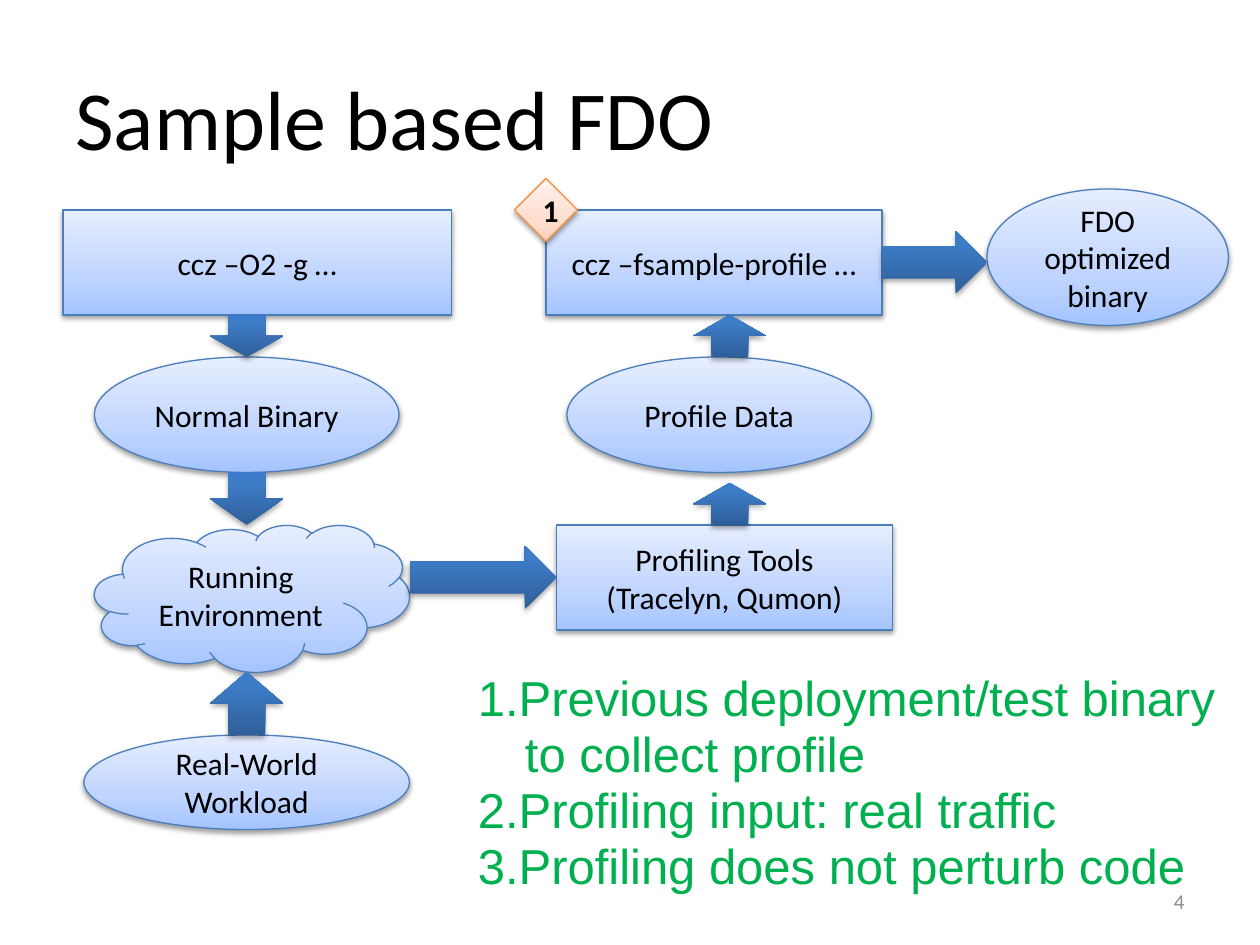
from dataclasses import dataclass

from copy import deepcopy
from lxml import etree
from pptx import Presentation
from pptx import util as u
from pptx.dml.color import RGBColor
from pptx.enum import shapes, text
from pptx.oxml.ns import qn

GRID = 2.54 / 12
KIND = shapes.MSO_SHAPE
ALIGN = text.PP_ALIGN


@dataclass(frozen=True)
class Theme:
    body_font: str = "Calibri"
    list_font: str = "Arial"
    ink: str = "000000"
    green: str = "00B050"
    grey: str = "8C8C8C"
    node_line: str = "4B7EBC"
    badge_line: str = "F69240"
    node_fill: tuple = ((0, "A4C4FF"), (0.35, "BFD4FF"), (1, "E6EEFF"))
    arrow_fill: tuple = ((0, "2F5F99"), (0.8, "3D7CC7"), (1, "3A7CCB"))
    badge_fill: tuple = ((0, "FFD2BD"), (0.35, "FFDED0"), (1, "FFF2ED"))
    title_size: int = 48
    list_size: int = 28
    node_size: int = 18
    number_size: int = 12


THEME = Theme()


def place(box):
    return [u.Cm(cells * GRID) for cells in box]


def write(shape, content, size=THEME.node_size, font=THEME.body_font,
          color=THEME.ink, bold=False, align=ALIGN.CENTER,
          anchor=text.MSO_ANCHOR.MIDDLE):
    frame = shape.text_frame
    frame.word_wrap = True
    frame.vertical_anchor = anchor
    frame.text = content
    for paragraph in frame.paragraphs:
        paragraph.alignment = align
        for run in paragraph.runs:
            run.font.size = u.Pt(size)
            run.font.name = font
            run.font.bold = bold
            run.font.color.rgb = RGBColor.from_string(color)
    return frame


def add_text(slide, box, content, **style):
    return write(slide.shapes.add_textbox(*place(box)), content, **style)


def fill_gradient(shape, stops):
    shape.fill.gradient()
    shape.fill.gradient_angle = 90
    stop_list = shape._element.spPr.find(".//" + qn("a:gsLst"))
    stop_list.append(deepcopy(stop_list[0]))
    for stop, (position, color) in zip(shape.fill.gradient_stops, stops):
        stop.position = position
        stop.color.rgb = RGBColor.from_string(color)


def add_shadow(shape, distance, opacity):
    shape.shadow.inherit = False
    effects = shape._element.spPr.find(qn("a:effectLst"))
    shadow = etree.SubElement(
        effects, qn("a:outerShdw"), blurRad="40000", dist=str(distance),
        dir="5400000", rotWithShape="0")
    color = etree.SubElement(shadow, qn("a:srgbClr"), val=THEME.ink)
    etree.SubElement(color, qn("a:alpha"), val=str(opacity * 1000))


def add_node(slide, kind, box, content, stops=THEME.node_fill,
             line=THEME.node_line, **style):
    shape = slide.shapes.add_shape(kind, *place(box))
    fill_gradient(shape, stops)
    shape.line.color.rgb = RGBColor.from_string(line)
    shape.line.width = u.Pt(0.75)
    add_shadow(shape, 20000, 38)
    write(shape, content, **style)


def add_arrow(slide, kind, box):
    shape = slide.shapes.add_shape(kind, *place(box))
    fill_gradient(shape, THEME.arrow_fill)
    shape.line.fill.background()
    add_shadow(shape, 23000, 35)


def add_list(slide, box, items):
    frame = add_text(slide, box, "\n".join(items), size=THEME.list_size,
                     font=THEME.list_font, color=THEME.green,
                     align=ALIGN.LEFT, anchor=text.MSO_ANCHOR.TOP)
    frame.margin_left = frame.margin_right = 0
    frame.margin_top = frame.margin_bottom = 0
    for paragraph in frame.paragraphs:
        paragraph.level = 1
        paragraph.line_spacing = 0.95
        properties = paragraph._p.get_or_add_pPr()
        properties.set("marL", str(u.Cm(1.27)))
        properties.set("indent", str(u.Cm(-0.95)))


def main():
    presentation = Presentation()
    presentation.slide_width = u.Cm(25.4)
    presentation.slide_height = u.Cm(19.05)
    slide = presentation.slides.add_slide(presentation.slide_layouts[6])

    add_text(slide, (6, 3.6, 108, 15), "Sample based FDO",
             size=THEME.title_size, align=ALIGN.LEFT)

    for kind, box, content in (
        (KIND.CLOUD, (9, 50, 30, 14), "Running Environment"),
        (KIND.RECTANGLE, (6, 20, 37, 10), "ccz –O2 -g …"),
        (KIND.OVAL, (9, 34, 29, 11), "Normal Binary"),
        (KIND.OVAL, (8, 70, 31, 9), "Real-World Workload"),
        (KIND.OVAL, (54, 34, 29, 11), "Profile Data"),
        (KIND.RECTANGLE, (52, 20, 32, 10), "ccz –fsample-profile …"),
        (KIND.OVAL, (94, 18, 23, 13), "FDO optimized binary"),
        (KIND.RECTANGLE, (53, 50, 32, 10),
         "Profiling Tools\n(Tracelyn, Qumon)"),
    ):
        add_node(slide, kind, box, content)

    for kind, box in (
        (KIND.DOWN_ARROW, (20, 30, 7, 4)),
        (KIND.DOWN_ARROW, (20, 45, 7, 5)),
        (KIND.UP_ARROW, (20, 64, 7, 6)),
        (KIND.UP_ARROW, (66, 30, 7, 4)),
        (KIND.UP_ARROW, (66, 46, 7, 4)),
        (KIND.RIGHT_ARROW, (39, 52, 14, 6)),
        (KIND.RIGHT_ARROW, (84, 22, 10, 6)),
    ):
        add_arrow(slide, kind, box)

    add_node(slide, KIND.DIAMOND, (49, 17, 6, 6), "1", bold=True,
             stops=THEME.badge_fill, line=THEME.badge_line)
    add_list(slide, (44, 64, 76, 23), (
        "1.Previous deployment/test binary to collect profile",
        "2.Profiling input: real traffic",
        "3.Profiling does not perturb code",
    ))
    add_text(slide, (86, 83.4, 28, 4.8), "4", size=THEME.number_size,
             color=THEME.grey, align=ALIGN.RIGHT)

    presentation.save("out.pptx")


if __name__ == "__main__":
    main()
